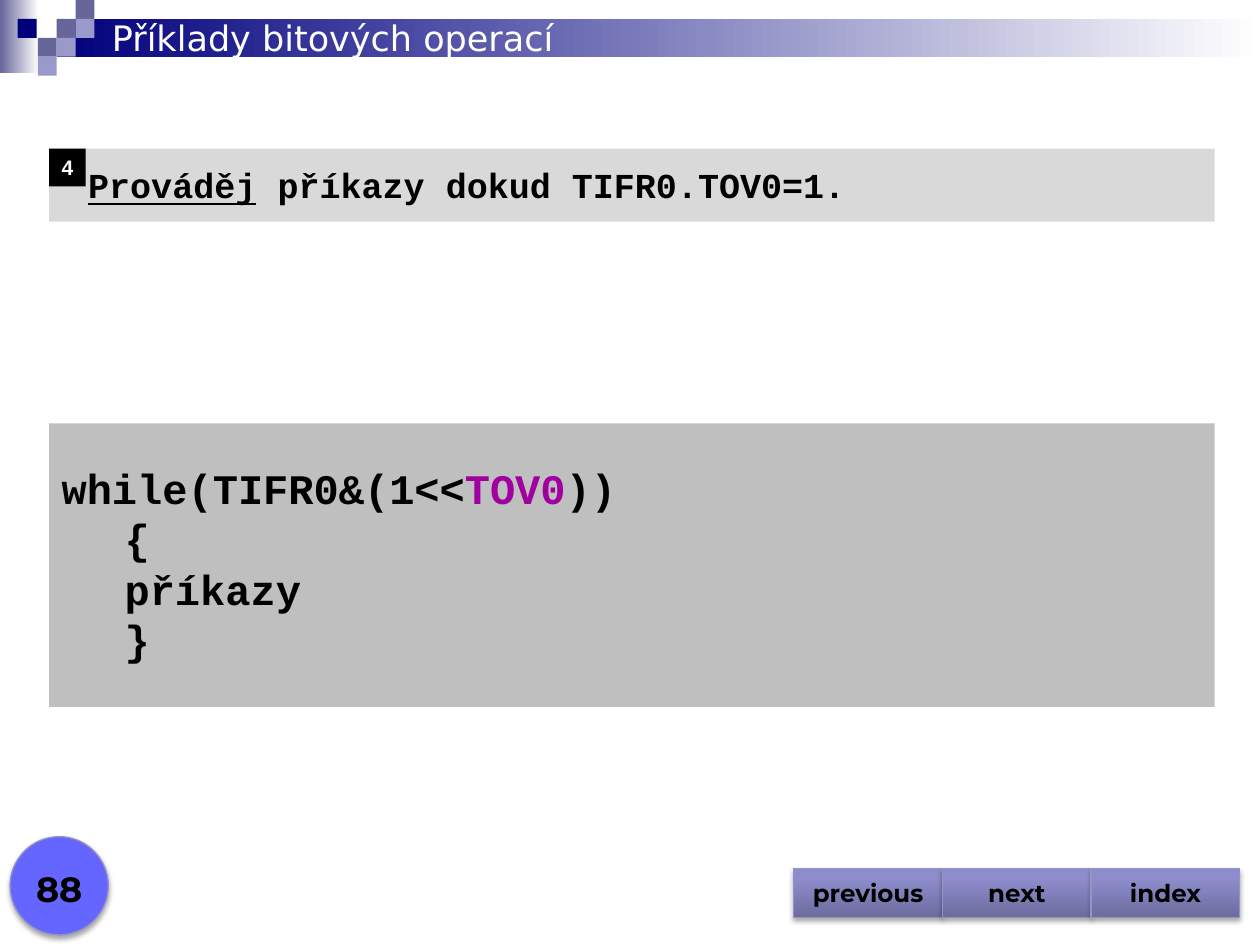
from lxml.etree import SubElement
from pptx import Presentation
from pptx.dml.color import RGBColor
from pptx.enum.shapes import MSO_SHAPE as Shape
from pptx.enum.text import MSO_ANCHOR as Anchor, PP_ALIGN as Align
from pptx.oxml.ns import qn
from pptx.util import Emu, Pt

PX = 9144
COLORS = {
    "black": "000000", "white": "FFFFFF", "navy": "00007D",
    "slate": "666699", "lavender": "9999CC", "task": "D9D9D9",
    "code": "BFBFBF", "bit": "A000A0", "disc": "6565FF", "edge": "9494C9",
    "button_low": "6C6C9E", "button_mid": "8D8DCD", "button_high": "8C8CCF",
}
CODE_FONT = "Courier New"
BUTTON_STOPS = [(0, "button_low"), (80, "button_mid"), (100, "button_high")]


def px(length):
    """Turn a length in px into EMU."""
    return Emu(length * PX)


def rgb(name):
    """Look up a named colour."""
    return RGBColor.from_string(COLORS[name])


def fill_gradient(shape, stops, angle=0):
    """Fill a shape with a linear gradient through the given stops."""
    shape.fill.gradient()
    shape.fill.gradient_angle = angle
    stop_list = shape._element.spPr.find(qn("a:gradFill")).find(qn("a:gsLst"))
    for old_stop in list(stop_list):
        stop_list.remove(old_stop)
    for position, color in stops:
        stop = SubElement(stop_list, qn("a:gs"), pos=str(position * 1000))
        SubElement(stop, qn("a:srgbClr"), val=COLORS[color])


def add_block(slide, box, color=None, kind=Shape.RECTANGLE, stops=None, angle=0):
    """Add a borderless shape with a solid or gradient fill."""
    shape = slide.shapes.add_shape(kind, *map(px, box))
    shape.shadow.inherit = False
    shape.line.fill.background()
    if stops:
        fill_gradient(shape, stops, angle)
    else:
        shape.fill.solid()
        shape.fill.fore_color.rgb = rgb(color)
    return shape


def raise_shape(shape):
    """Give a shape a thin edge and a soft shadow below."""
    shape.line.color.rgb = rgb("edge")
    shape.line.width = Pt(0.75)
    effects = shape._element.spPr.find(qn("a:effectLst"))
    shadow = SubElement(effects, qn("a:outerShdw"), blurRad=str(Pt(3.1)),
                        dist=str(Pt(1.8)), dir="5400000", rotWithShape="0")
    color = SubElement(shadow, qn("a:srgbClr"), val=COLORS["black"])
    SubElement(color, qn("a:alpha"), val="35000")


def write(shape, lines, size, font, bold=True, color="black", align=Align.LEFT,
          anchor=Anchor.MIDDLE, insets=(10, 5, 10, 5), wrap=True, indent=0):
    """Write lines of (text, overrides) runs, indenting all but the first."""
    frame = shape.text_frame
    frame.word_wrap = wrap
    frame.vertical_anchor = anchor
    (frame.margin_left, frame.margin_top,
     frame.margin_right, frame.margin_bottom) = map(px, insets)
    for index, runs in enumerate(lines):
        paragraph = frame.add_paragraph() if index else frame.paragraphs[0]
        paragraph.alignment = align
        if index and indent:
            paragraph.level = 1
            properties = paragraph._p.get_or_add_pPr()
            properties.set("marL", str(px(indent)))
            properties.set("indent", "0")
        for text, extra in runs:
            run = paragraph.add_run()
            run.text = text
            run.font.size, run.font.name = Pt(size), font
            run.font.bold = bold
            run.font.underline = extra.get("underline", False)
            run.font.color.rgb = rgb(extra.get("color", color))


def add_header(slide, left, top, title):
    """Draw the gradient bar, the checker squares and the title."""
    for box, color in (((0, 0, 31, 58), "slate"), ((45, 15, 955, 30), "navy")):
        x, y, width, height = box
        add_block(slide, (left + x, top + y, width, height),
                  stops=[(0, color), (100, "white")])
    squares = [(45, 15, "slate"), (60, 0, "slate"), (60, 15, "lavender"),
               (30, 30, "slate"), (14, 15, "navy"), (45, 30, "lavender"),
               (30, 45, "lavender")]
    for x, y, color in squares:
        add_block(slide, (left + x, top + y, 15, 15), color)
    text_box = slide.shapes.add_textbox(
        *map(px, (left + 79, top + 8, 850, 44)))
    write(text_box, [[(title, {})]], 20, "DejaVu Sans", bold=False, color="white")


def add_task(slide, left, top, width, height, number, runs):
    """Draw the task strip with its number badge in the corner."""
    strip = add_block(slide, (left, top, width, height), "task")
    write(strip, [runs], 20, CODE_FONT, anchor=Anchor.TOP, insets=(31, 12, 10, 12))
    badge = add_block(slide, (left, top, 29, 30), "black")
    write(badge, [[(number, {})]], 12, "Arial", color="white",
          align=Align.CENTER, wrap=False)


def add_code(slide, left, top, width, height, lines):
    """Draw the code panel."""
    panel = add_block(slide, (left, top, width, height), "code")
    write(panel, lines, 24, CODE_FONT, anchor=Anchor.TOP,
          insets=(10, 31, 10, 31), indent=50)


def add_navigation(slide, left, top, width, height, labels):
    """Draw a row of equal buttons."""
    for index, label in enumerate(labels):
        button = add_block(slide, (left + index * width, top, width, height),
                           kind=Shape.ACTION_BUTTON_CUSTOM,
                           stops=BUTTON_STOPS, angle=90)
        raise_shape(button)
        write(button, [[(label, {})]], 14, "Montserrat", align=Align.CENTER)


def add_page_number(slide, left, top, size, number):
    """Draw the page disc with its number."""
    disc = add_block(slide, (left, top, size, size), "disc", Shape.OVAL)
    raise_shape(disc)
    text_box = slide.shapes.add_textbox(
        *map(px, (left - 8, top + 13, size + 16, 50)))
    write(text_box, [[(number, {})]], 20, "Montserrat",
          align=Align.CENTER, anchor=Anchor.BOTTOM)


def main():
    """Build and save the slide."""
    presentation = Presentation()
    presentation.slide_width, presentation.slide_height = px(1000), px(750)
    slide = presentation.slides.add_slide(presentation.slide_layouts[6])
    add_header(slide, 0, 0, "Příklady bitových operací")
    add_task(slide, 39, 118, 925, 58, "4", [
        ("Prováděj", {"underline": True}),
        (" příkazy dokud TIFR0.TOV0=1.", {})])
    add_code(slide, 39, 336, 925, 225, [
        [("while(TIFR0&(1<<", {}), ("TOV0", {"color": "bit"}), ("))", {})],
        [("{", {})], [("příkazy", {})], [("}", {})]])
    add_navigation(slide, 630, 689, 118, 39, ["previous", "next", "index"])
    add_page_number(slide, 8, 664, 78, "88")
    presentation.save("out.pptx")


if __name__ == "__main__":
    main()
